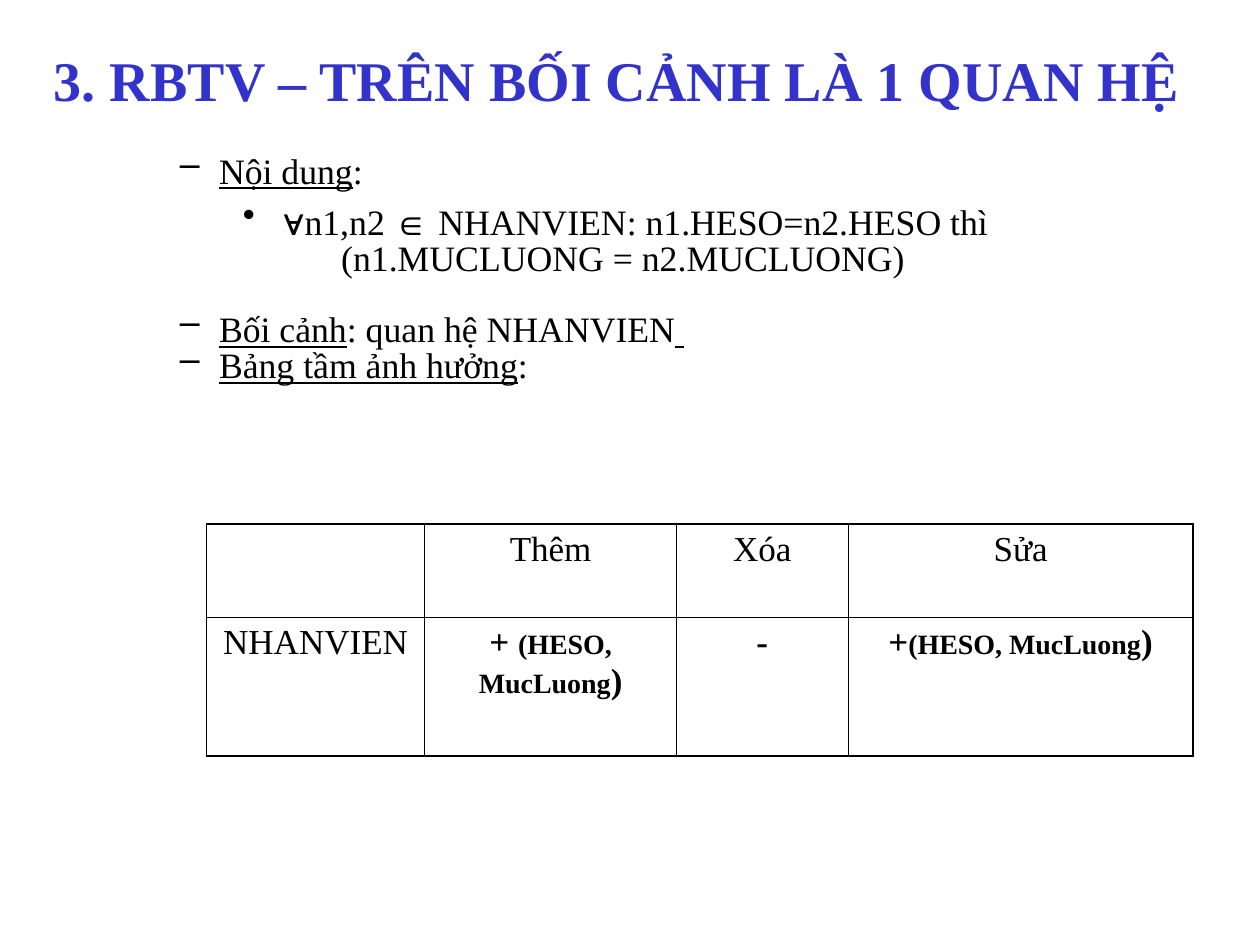
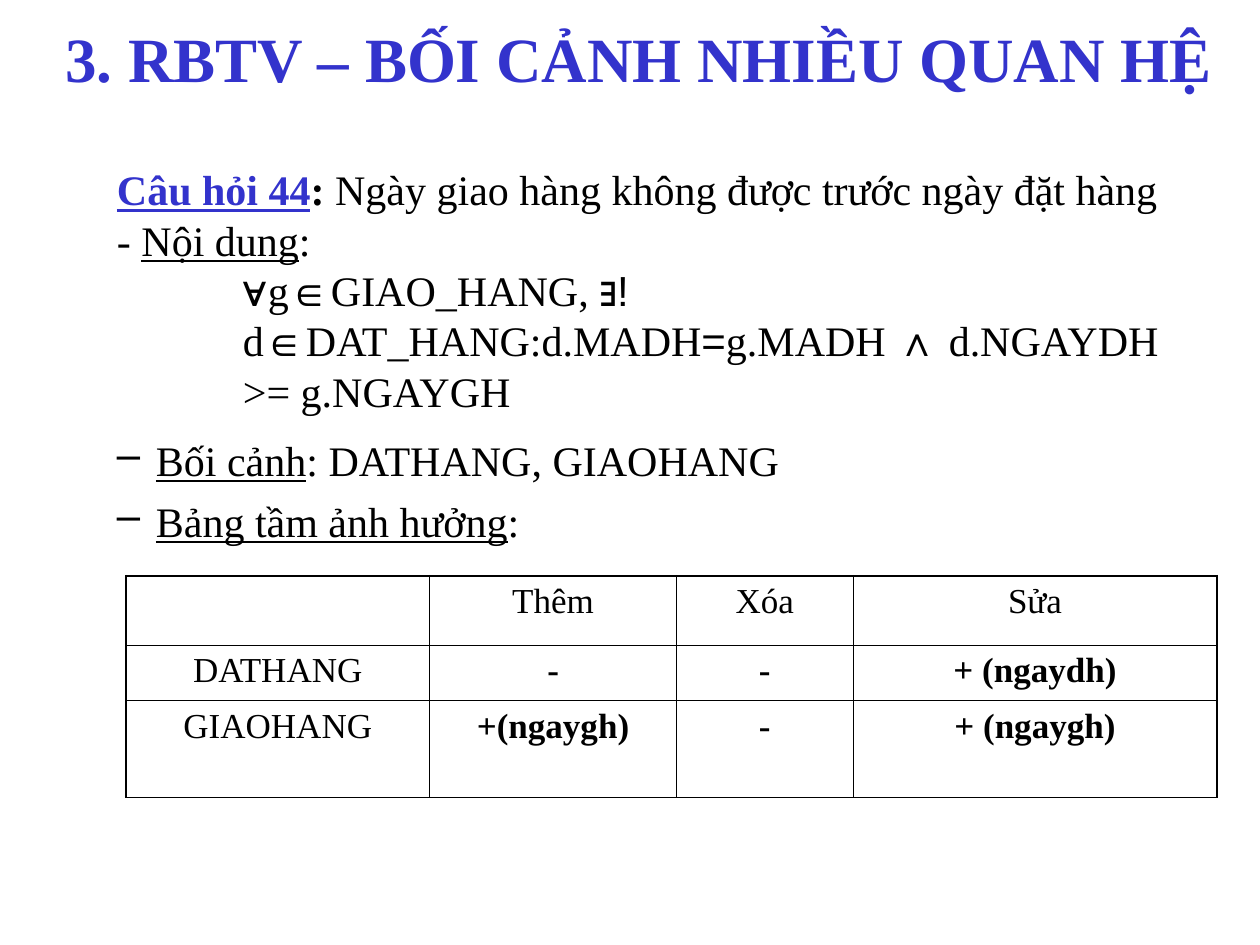
"""Build two slides on integrity constraints, each with a table of effects."""
from lxml import etree
from pptx import Presentation
from pptx.dml import color
from pptx.enum import text
from pptx.oxml import ns
from pptx.util import Inches, Pt

COLORS = {"accent": "3333CC", "ink": "000000"}
FACE = "Times New Roman"
SYMBOL = {"face": "Arial"}
UNDERLINE = {"underline": True}
BOLD = {"bold": True}
SMALL_BOLD = {"bold": True, "size": 16}
OUTER_RULE, INNER_RULE = 1.08, 0.45
HEADINGS = ["", "Thêm", "Xóa", "Sửa"]


def add_run(paragraph, wording, size, face=FACE, ink="ink", bold=False, underline=False):
    """Append one formatted run to a paragraph."""
    run = paragraph.add_run()
    run.text = wording
    run.font.size = Pt(size)
    run.font.name = face
    run.font.bold = bold
    run.font.underline = underline
    run.font.color.rgb = color.RGBColor.from_string(COLORS[ink])


def add_runs(paragraph, runs, size):
    """Append (wording, style) runs that share a default size."""
    for wording, style in runs:
        add_run(paragraph, wording, **{"size": size, **style})


def add_frame(slide, left, top, width, height, anchor=text.MSO_ANCHOR.TOP):
    """Add a wrapping text box and return its text frame."""
    box = slide.shapes.add_textbox(Inches(left), Inches(top), Inches(width), Inches(height))
    frame = box.text_frame
    frame.word_wrap = True
    frame.vertical_anchor = anchor
    return frame


def add_title(slide, wording, left, top, width, size):
    """Add the bold accent title of a slide."""
    frame = add_frame(slide, left, top, width, 1.25, text.MSO_ANCHOR.MIDDLE)
    add_run(frame.paragraphs[0], wording, size, ink="accent", bold=True)


def set_layout(paragraph, level=0, margin=0, hang=0, bullet=None, before=0, spacing=1.0):
    """Set the indents, bullet and spacing of a paragraph."""
    paragraph.level = level
    properties = paragraph._p.get_or_add_pPr()
    properties.set("marL", str(Inches(margin)))
    properties.set("indent", str(-Inches(hang)))
    if bullet:
        etree.SubElement(properties, ns.qn("a:buChar")).set("char", bullet)
    else:
        etree.SubElement(properties, ns.qn("a:buNone"))
    paragraph.line_spacing = spacing
    paragraph.space_before = Pt(before)


def add_body(slide, left, top, width, height, size, lines):
    """Add a text box of (layout, runs) lines."""
    frame = add_frame(slide, left, top, width, height)
    for index, (layout, runs) in enumerate(lines):
        paragraph = frame.add_paragraph() if index else frame.paragraphs[0]
        set_layout(paragraph, **layout)
        add_runs(paragraph, runs, size)


def dash_item(before=6, spacing=1.0):
    """Return the layout of a dashed item."""
    return dict(level=1, margin=0.81, hang=0.31, bullet="–", before=before, spacing=spacing)


def rule_cell(cell, widths):
    """Draw the borders of a cell, given in points by side."""
    properties = cell._tc.get_or_add_tcPr()
    for side in "LRTB":
        line = etree.SubElement(properties, ns.qn(f"a:ln{side}"), w=str(Pt(widths[side])))
        fill = etree.SubElement(line, ns.qn("a:solidFill"))
        etree.SubElement(fill, ns.qn("a:srgbClr"), val=COLORS["ink"])
    cell.fill.background()


def add_effects(slide, left, top, columns, heights, relations):
    """Add the table of effects with a heavier outer frame."""
    rows = [[[(heading, {})] for heading in HEADINGS]] + relations
    table = slide.shapes.add_table(
        len(rows), len(columns), Inches(left), Inches(top),
        Inches(sum(columns)), Inches(sum(heights))).table
    table.first_row = table.horz_banding = False
    for column, width in zip(table.columns, columns):
        column.width = Inches(width)
    for row, height in zip(table.rows, heights):
        row.height = Inches(height)
    last_row, last_column = len(rows) - 1, len(columns) - 1
    for r, effects in enumerate(rows):
        for c, runs in enumerate(effects):
            cell = table.cell(r, c)
            edges = {"L": c == 0, "R": c == last_column, "T": r == 0, "B": r == last_row}
            rule_cell(cell, {side: OUTER_RULE if outer else INNER_RULE
                             for side, outer in edges.items()})
            paragraph = cell.text_frame.paragraphs[0]
            paragraph.alignment = text.PP_ALIGN.CENTER
            if runs[0][0]:
                add_runs(paragraph, runs, 20)


def effect_row(relation, *effects):
    """Return a table row with a plain name and bold effects."""
    return [[(relation, {})]] + [[(effect, BOLD)] for effect in effects]


def build_single_relation(slide):
    """Fill the slide on a constraint within one relation."""
    add_title(slide, "3. RBTV – TRÊN BỐI CẢNH LÀ 1 QUAN HỆ", 0.33, 0, 9.33, 32)
    tight = 0.6
    add_body(slide, 0.83, 1.25, 8.42, 2, 20.4, [
        (dash_item(0, tight), [("Nội dung", UNDERLINE), (":", {})]),
        (dict(level=2, margin=1.32, hang=0.32, bullet="•", before=14.5, spacing=tight),
         [("∀", SYMBOL), ("n1,n2 ", {}), ("∈", SYMBOL),
          (" NHANVIEN: n1.HESO=n2.HESO thì", {})]),
        (dict(level=2, margin=1.78, before=6, spacing=tight),
         [("(n1.MUCLUONG = n2.MUCLUONG)", {})]),
        (dash_item(26, tight),
         [("Bối cảnh", UNDERLINE), (": quan hệ NHANVIEN", {}), (" ", UNDERLINE)]),
        (dash_item(6, tight), [("Bảng tầm ảnh hưởng", UNDERLINE), (":", {})]),
    ])
    attributes = [("(HESO, MucLuong", SMALL_BOLD), (")", BOLD)]
    add_effects(slide, 1.64, 4.16, [1.73, 2, 1.36, 2.74], [0.74, 1.1], [
        [[("NHANVIEN", {})], [("+ ", BOLD), *attributes],
         [("-", BOLD)], [("+", BOLD), *attributes]],
    ])


def build_many_relations(slide):
    """Fill the slide on a constraint across several relations."""
    add_title(slide, "3. RBTV – BỐI CẢNH NHIỀU QUAN HỆ", 0.42, -0.17, 9.58, 36)
    add_body(slide, 0.33, 3.4, 8.83, 1, 24, [
        (dash_item(0), [("Bối cảnh", UNDERLINE), (": DATHANG, GIAOHANG", {})]),
        (dash_item(), [("Bảng tầm ảnh hưởng", UNDERLINE), (":", {})]),
    ])
    add_body(slide, 0.83, 1.25, 8.67, 2.1, 24, [
        ({}, [("Câu hỏi 44", {"ink": "accent", **BOLD, **UNDERLINE}), (": ", BOLD),
              ("Ngày giao hàng không được trước ngày đặt hàng", {})]),
        ({}, [("- ", {}), ("Nội dung", UNDERLINE), (":", {})]),
        (dict(level=2, margin=1),
         [("∀", SYMBOL), ("g", {}), ("∈", SYMBOL), ("GIAO_HANG, ", {}), ("∃!", SYMBOL),
          ("d", {}), ("∈", SYMBOL), ("DAT_HANG:d.MADH", {}), ("=", SYMBOL),
          ("g.MADH ", {}), ("∧", SYMBOL), (" d.NGAYDH >= g.NGAYGH", {})]),
    ])
    add_effects(slide, 1, 4.57, [2.41, 1.96, 1.4, 2.89], [0.55, 0.44, 0.77], [
        effect_row("DATHANG", "-", "-", "+ (ngaydh)"),
        effect_row("GIAOHANG", "+(ngaygh)", "-", "+ (ngaygh)"),
    ])


def main():
    """Build and save the presentation."""
    deck = Presentation()
    deck.slide_width, deck.slide_height = Inches(10), Inches(7.5)
    blank = deck.slide_layouts[6]
    for build in (build_single_relation, build_many_relations):
        build(deck.slides.add_slide(blank))
    deck.save("out.pptx")


if __name__ == "__main__":
    main()
